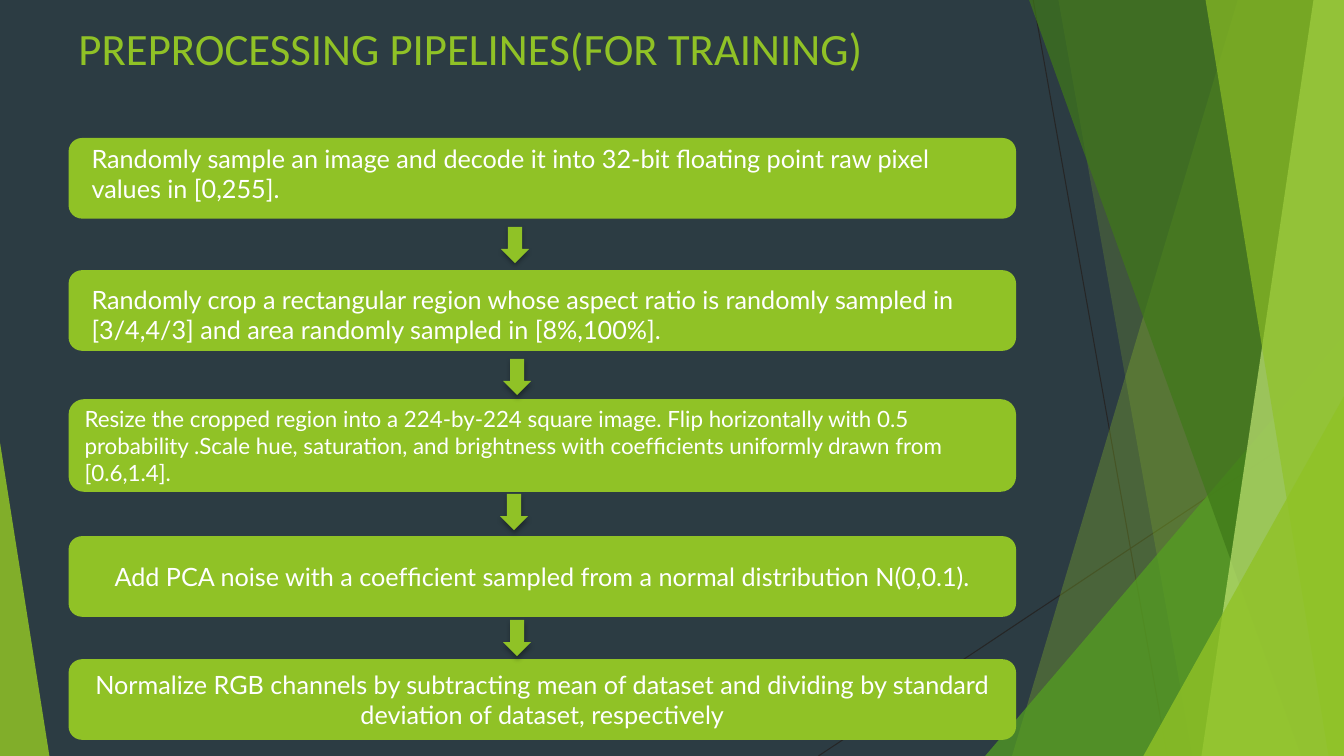
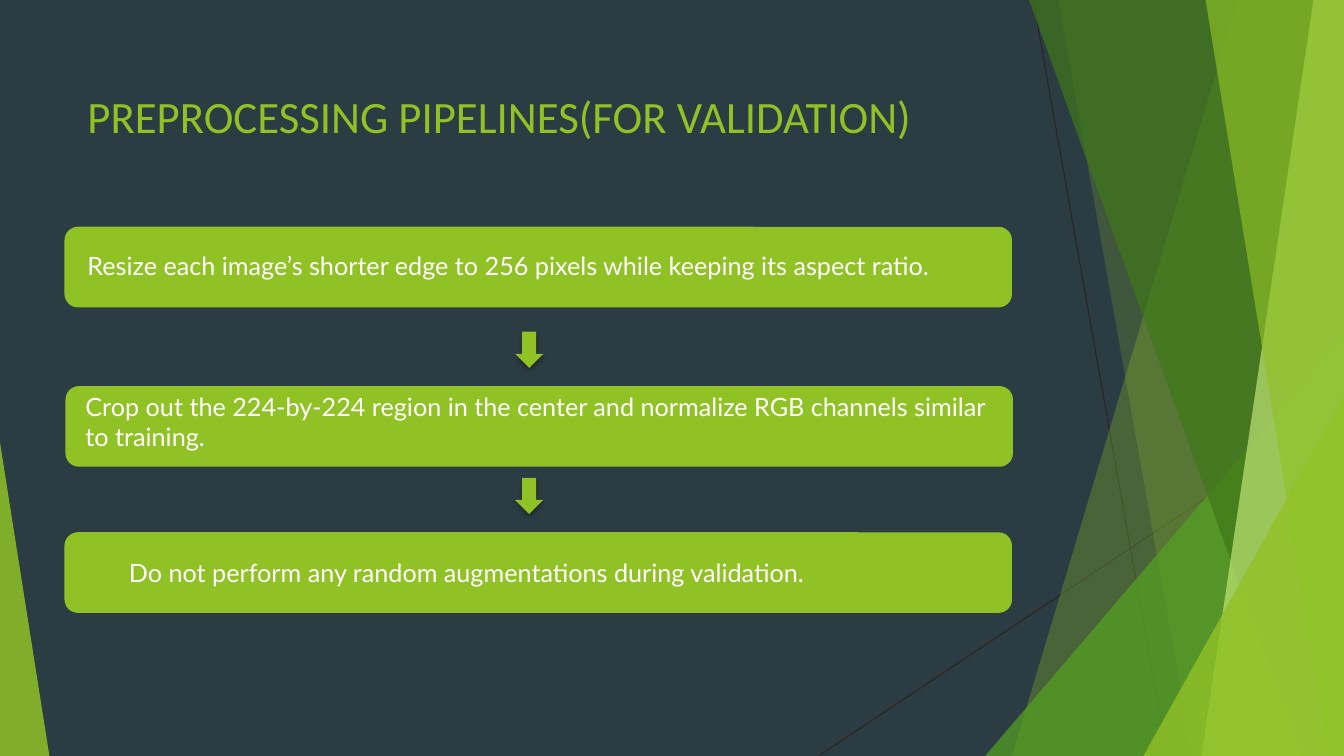
"""Build two slides of preprocessing pipelines, one for training and one for validation."""
import pptx
import pptx.dml.color
import pptx.enum.shapes
import pptx.enum.text
import pptx.oxml.ns
import pptx.oxml.xmlchemy
import pptx.util
from lxml import etree

Pt = pptx.util.Pt
RGB = pptx.dml.color.RGBColor
SHAPE = pptx.enum.shapes.MSO_SHAPE
ALIGN = pptx.enum.text.PP_ALIGN
ANCHOR = pptx.enum.text.MSO_ANCHOR
qn = pptx.oxml.ns.qn

SLATE = RGB(0x2C, 0x3C, 0x43)
GREEN = RGB(0x90, 0xC2, 0x26)
GRASS = RGB(0x54, 0xA0, 0x21)
FOREST = RGB(0x3F, 0x78, 0x19)
LIME = RGB(0xC0, 0xE4, 0x74)
INK = RGB(0x26, 0x26, 0x26)
WHITE = RGB(0xFF, 0xFF, 0xFF)

WIDTH, HEIGHT = 960, 540
STEP_W, STEP_H = 676.8, 57.6
ARROW_W, ARROW_H = 20.16, 25.92

RAYS = [(738, 0, 833.8, HEIGHT), (WIDTH, 290.2, 584.6, HEIGHT)]
FACETS = [
    ("band", 884.2, 722.9, GREEN, 30),
    ("band", 756, 851.8, GREEN, 20),
    ("right", 256.3, 300.2, GRASS, 72),
    ("band", 735.1, 929.5, FOREST, 70),
    ("band", 938.2, 858.2, LIME, 70),
    ("band", 861.1, 949, GREEN, 65),
    ("right", 143.3, 257, GREEN, 80),
    ("left", 35.3, 223.9, GREEN, 85),
]

SLIDES = [
    {
        "title": ("PREPROCESSING PIPELINES(FOR TRAINING)", 49, 11.5),
        "steps": [
            (49, 98.6, STEP_H, "Randomly sample an image and decode it into 32-bit ﬂoating point raw "
             "pixel values in [0,255].", 18, (58.3, 98.6, 658, 51.1)),
            (49, 193, STEP_H, "Randomly crop a rectangular region whose aspect ratio is randomly "
             "sampled in [3/4,4/3] and area randomly sampled in [8%,100%].", 18, (58.3, 199.4, 667.4, 51.1)),
            (49, 285.1, 66.2, "Resize the cropped region into a 224-by-224 square image. Flip "
             "horizontally with 0.5 probability .Scale hue, saturation, and brightness with "
             "coefﬁcients uniformly drawn from [0.6,1.4].", 16, (53.3, 285.8, 646.6, 65.5)),
            (49, 383, STEP_H, "Add PCA noise with a coefﬁcient sampled from a normal distribution "
             "N(0,0.1).", 18, None),
            (49, 470.9, STEP_H, "Normalize RGB channels by subtracting mean of dataset and dividing "
             "by standard deviation of dataset, respectively", 18, None),
        ],
        "arrows": [(357.8, 162), (359.3, 256.3), (357.1, 352.8), (359.3, 442.8)],
    },
    {
        "title": ("PREPROCESSING PIPELINES(FOR VALIDATION)", 55.4, 59.8),
        "steps": [
            (46.1, 162, STEP_H, "Resize each image’s shorter edge to 256 pixels while keeping its "
             "aspect ratio.", 18, (55.4, 175, 658, 28.8)),
            (46.8, 275.8, STEP_H, "Crop out the 224-by-224 region in the center and normalize RGB "
             "channels similar to training.", 18, (54, 275.8, 667.4, 51.1)),
            (46.1, 380.2, STEP_H, "Do not perform any random augmentations during validation.", 18,
             (85, 394.6, 646.6, 28.8)),
        ],
        "arrows": [(367.9, 236.9), (367.9, 341.3)],
    },
]


def write(sp, text, size=18, font="Lato", color=WHITE, align=ALIGN.LEFT, anchor=ANCHOR.TOP):
    tf = sp.text_frame
    tf.word_wrap = True
    tf.vertical_anchor = anchor
    p = tf.paragraphs[0]
    p.alignment = align
    r = p.add_run()
    r.text = text
    r.font.size = Pt(size)
    r.font.name = font
    r.font.color.rgb = color


def paint(sp, color, alpha=100):
    sp.shadow.inherit = False
    sp.line.fill.background()
    sp.fill.solid()
    sp.fill.fore_color.rgb = color
    if alpha < 100:
        clr = sp._element.spPr.find(qn("a:solidFill")).find(qn("a:srgbClr"))
        etree.SubElement(clr, qn("a:alpha"), val=str(alpha * 1000))


prs = pptx.Presentation()
prs.slide_width, prs.slide_height = Pt(WIDTH), Pt(HEIGHT)
background = prs.slide_master.background.fill
background.solid()
background.fore_color.rgb = SLATE

for content in SLIDES:
    s = prs.slides.add_slide(prs.slide_layouts[6])

    for ray in RAYS:
        line = s.shapes.add_connector(pptx.enum.shapes.MSO_CONNECTOR.STRAIGHT, *map(Pt, ray))
        line.line.color.rgb = INK
        line.line.width = Pt(0.75)
        etree.SubElement(line._element.spPr, qn("a:effectLst"))

    for kind, a, b, color, alpha in FACETS:
        if kind == "band":
            outline = s.shapes.build_freeform(Pt(a), 0)
            corners = [(WIDTH, 0), (WIDTH, HEIGHT), (b, HEIGHT)]
            outline.add_line_segments([(Pt(x), Pt(y)) for x, y in corners], close=True)
            sp = outline.convert_to_shape()
        else:
            left = WIDTH - a if kind == "right" else 0
            sp = s.shapes.add_shape(SHAPE.ISOSCELES_TRIANGLE, Pt(left), Pt(HEIGHT - b), Pt(a), Pt(b))
            sp.adjustments[0] = 1 if kind == "right" else 0
        paint(sp, color, alpha)

    title, x, y = content["title"]
    sp = s.shapes.add_textbox(Pt(x), Pt(y), Pt(STEP_W), Pt(46))
    write(sp, title, size=32, font="Calibri", color=GREEN)

    for x, y, height, text, size, label in content["steps"]:
        sp = s.shapes.add_shape(SHAPE.ROUNDED_RECTANGLE, Pt(x), Pt(y), Pt(STEP_W), Pt(height))
        paint(sp, GREEN)
        if label:
            write(s.shapes.add_textbox(*map(Pt, label)), text, size=size)
        else:
            write(sp, text, size=size, align=ALIGN.CENTER, anchor=ANCHOR.MIDDLE)

    for x, y in content["arrows"]:
        sp = s.shapes.add_shape(SHAPE.DOWN_ARROW, Pt(x), Pt(y), Pt(ARROW_W), Pt(ARROW_H))
        paint(sp, GREEN)
        effects = sp._element.spPr.find(qn("a:effectLst"))
        shadow = etree.SubElement(effects, qn("a:outerShdw"), blurRad=str(Pt(3.5)), dist=str(Pt(2.2)),
                                  dir="5400000", rotWithShape="0")
        black = etree.SubElement(shadow, qn("a:srgbClr"), val="000000")
        etree.SubElement(black, qn("a:alpha"), val="32000")

prs.save("out.pptx")
